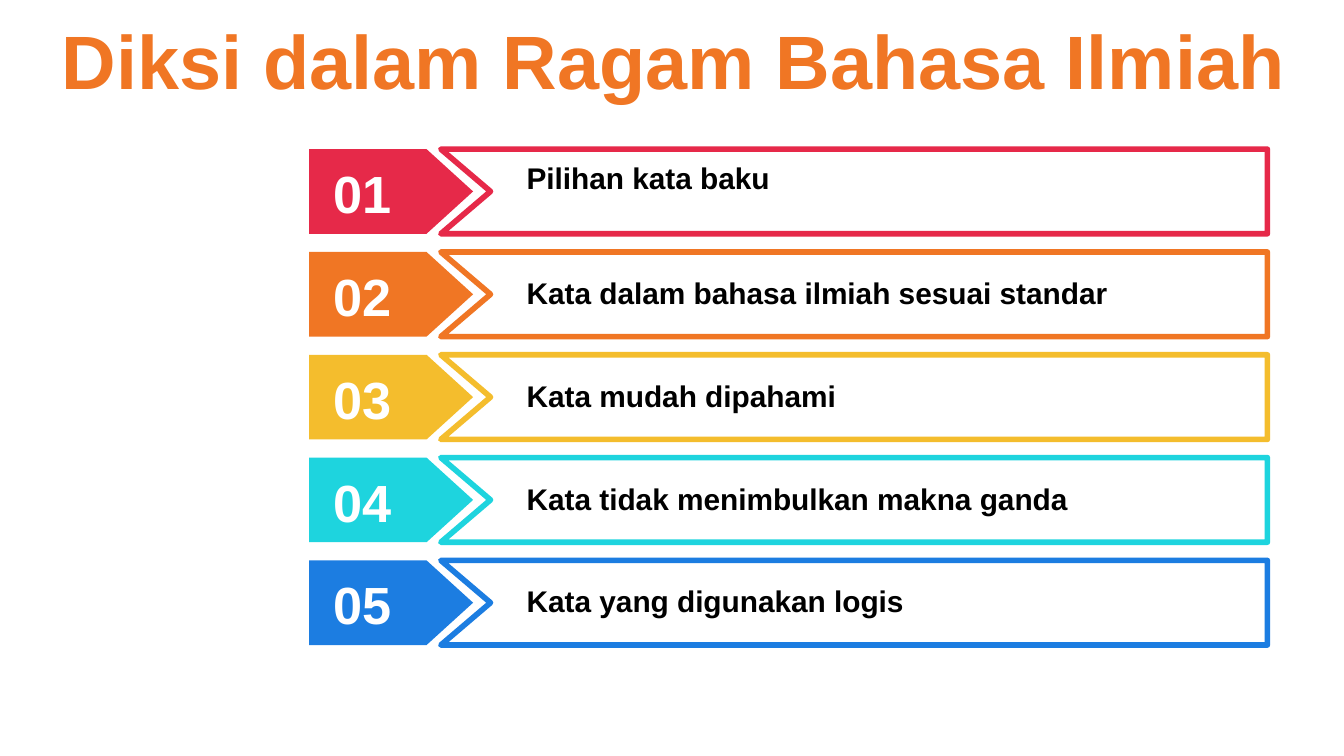
from pptx import Presentation
from pptx.dml.color import RGBColor
from pptx.enum.shapes import MSO_SHAPE
from pptx.enum.text import MSO_ANCHOR, MSO_AUTO_SIZE, PP_ALIGN
from pptx.util import Inches, Pt

COLORS = {
    "red": "E62949", "orange": "F07624", "yellow": "F4BD2D",
    "cyan": "1ED4DE", "blue": "1C7DE1", "white": "FFFFFF", "black": "000000",
}

# Slide in 16:9 format
SLIDE_WIDTH = Inches(10)
SLIDE_HEIGHT = SLIDE_WIDTH * 9 // 16

# Label, colour, and drop of the label below the top of its row
ITEMS = [
    ("Pilihan kata baku", "red", 0.03),
    ("Kata dalam bahasa ilmiah sesuai standar", "orange", 0.12),
    ("Kata mudah dipahami", "yellow", 0.12),
    ("Kata tidak menimbulkan makna ganda", "cyan", 0.12),
    ("Kata yang digunakan logis", "blue", 0.12),
]

# List grid, in inches
LIST_BOX = (2.3, 1.11, 7.13, 3.69)
ROW_HEIGHT = 0.63
TAG_WIDTH = 1.22
FRAME_OFFSET = 0.98
NOTCH_DEPTH = 0.37

TITLE = {"size": Pt(40.5), "color": "orange", "align": PP_ALIGN.CENTER,
         "frame": {"vertical_anchor": MSO_ANCHOR.MIDDLE}}
NUMBER = {"size": Pt(28), "color": "white", "align": PP_ALIGN.LEFT,
          "frame": {"vertical_anchor": MSO_ANCHOR.MIDDLE,
                    "margin_top": 0, "margin_bottom": 0}}
LABEL = {"size": Pt(16), "color": "black", "align": PP_ALIGN.LEFT,
         "frame": {"vertical_anchor": MSO_ANCHOR.TOP}}


def color(name):
    return RGBColor.from_string(COLORS[name])


def set_attributes(target, values):
    for name, value in values.items():
        setattr(target, name, value)


def paint(shape, fill, line=None):
    shape.shadow.inherit = False
    shape.fill.solid()
    shape.fill.fore_color.rgb = color(fill)
    if line:
        shape.line.color.rgb = color(line)
        shape.line.width = Pt(3)
    else:
        shape.line.fill.background()


def add_text(slide, box, text, style):
    frame = slide.shapes.add_textbox(*map(Inches, box)).text_frame
    set_attributes(frame, {"word_wrap": True,
                           "auto_size": MSO_AUTO_SIZE.SHAPE_TO_FIT_TEXT,
                           **style["frame"]})
    paragraph = frame.paragraphs[0]
    paragraph.alignment = style["align"]
    run = paragraph.add_run()
    run.text = text
    set_attributes(run.font, {"name": "Arial", "bold": True, "size": style["size"]})
    run.font.color.rgb = color(style["color"])


def add_row(slide, box, number, label, accent, label_drop):
    left, top, width, height = box
    right, bottom = left + width, top + height

    # Numbered arrow tag
    tag = slide.shapes.add_shape(
        MSO_SHAPE.PENTAGON, *map(Inches, (left, top, TAG_WIDTH, height)))
    tag.adjustments[0] = 0.55
    paint(tag, accent)

    # Outlined frame with a notch on its left side
    frame_left = left + FRAME_OFFSET
    corners = [(right, top), (right, bottom), (frame_left, bottom),
               (frame_left + NOTCH_DEPTH, top + height / 2)]
    builder = slide.shapes.build_freeform(Inches(frame_left), Inches(top))
    builder.add_line_segments([(Inches(x), Inches(y)) for x, y in corners], close=True)
    paint(builder.convert_to_shape(), "white", accent)

    # Number and label
    add_text(slide, (left + 0.08, top + 0.09, 0.66, 0.47), f"{number:02d}", NUMBER)
    add_text(slide, (left + 1.52, top + label_drop, 5.3, 0.37), label, LABEL)


def add_list(slide, box):
    left, top, width, height = box
    pitch = (height - ROW_HEIGHT) / (len(ITEMS) - 1)
    for index, item in enumerate(ITEMS):
        row_box = (left, top + index * pitch, width, ROW_HEIGHT)
        add_row(slide, row_box, index + 1, *item)


def main():
    presentation = Presentation()
    set_attributes(presentation, {"slide_width": SLIDE_WIDTH,
                                  "slide_height": SLIDE_HEIGHT})
    slide = presentation.slides.add_slide(presentation.slide_layouts[6])
    add_list(slide, LIST_BOX)
    add_text(slide, (0.35, 0.05, 9.33, 0.78), "Diksi dalam Ragam Bahasa Ilmiah", TITLE)
    presentation.save("out.pptx")


if __name__ == "__main__":
    main()
